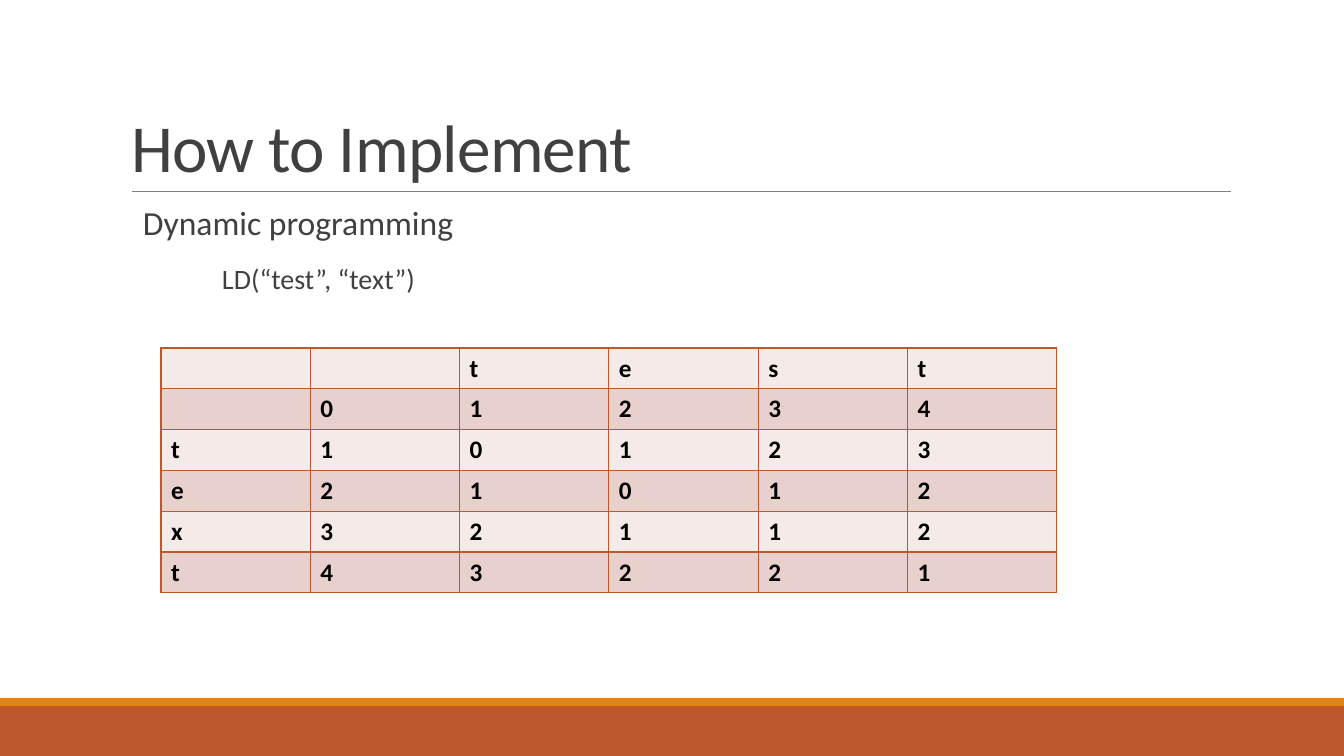
import lxml.etree
import pptx
import pptx.dml.color
import pptx.enum.shapes
import pptx.enum.text
import pptx.oxml.ns
import pptx.util

RGBColor = pptx.dml.color.RGBColor
RUST = RGBColor(0xBD, 0x58, 0x2C)
ORANGE = RGBColor(0xE4, 0x83, 0x12)
GREY = RGBColor(0x80, 0x80, 0x80)
DARK = RGBColor(0x40, 0x40, 0x40)
BLACK = RGBColor(0, 0, 0)
BANDS = (RGBColor(0xF4, 0xEA, 0xE8), RGBColor(0xE8, 0xD1, 0xCD))
qn = pptx.oxml.ns.qn


def px(*lengths):
    """Turn lengths in px (100.8 to the inch) into EMU."""
    return [pptx.util.Emu(round(length * 914400 / 100.8)) for length in lengths]


def write(para, text, size, color, bold=False):
    span = para.add_run()
    span.text = text
    values = {"name": "Calibri", "size": pptx.util.Pt(size), "bold": bold}
    for name, value in values.items():
        setattr(span.font, name, value)
    span.font.color.rgb = color
    return span


deck = pptx.Presentation()
deck.slide_width, deck.slide_height = px(1344, 756)
page = deck.slides.add_slide(deck.slide_layouts.get_by_name("Title Only"))

# Footer bars and title rule
for top, height, color in ((706, 50, RUST), (698, 8, ORANGE)):
    bar = page.shapes.add_shape(
        pptx.enum.shapes.MSO_SHAPE.RECTANGLE, *px(0, top, 1344, height))
    bar.shadow.inherit = False
    bar.fill.solid()
    bar.fill.fore_color.rgb = color
    bar.line.fill.background()

rule = page.shapes.add_connector(
    pptx.enum.shapes.MSO_CONNECTOR.STRAIGHT, *px(132, 191, 1231, 191))
rule.line.color.rgb = GREY
rule.line.width = pptx.util.Pt(0.5)
lxml.etree.SubElement(rule._element.spPr, qn("a:effectLst"))

# Title
title = page.shapes.title
title.left, title.top, title.width, title.height = px(121, 31, 1109, 160)
frame_format = {
    "vertical_anchor": pptx.enum.text.MSO_ANCHOR.BOTTOM,
    "auto_size": pptx.enum.text.MSO_AUTO_SIZE.NONE,
    "word_wrap": True,
}
for name, value in frame_format.items():
    setattr(title.text_frame, name, value)
para = title.text_frame.paragraphs[0]
para.alignment = pptx.enum.text.PP_ALIGN.LEFT
para.line_spacing = 0.85
span = write(para, "How to Implement", 48, DARK)
span.font._element.set("spc", "-50")

# Body text
box = page.shapes.add_textbox(*px(121, 202, 1109, 446))
frame = box.text_frame
frame.word_wrap = True
frame.margin_left = frame.margin_right = 0
lines = (
    ("Dynamic programming", 24, 22, 2, 4),
    ("LD(“test”, “text”)", 20, 101, 12, 2),
)
for number, (text, size, indent, before, after) in enumerate(lines):
    para = frame.add_paragraph() if number else frame.paragraphs[0]
    spacing = {
        "line_spacing": 0.9,
        "space_before": pptx.util.Pt(before),
        "space_after": pptx.util.Pt(after),
    }
    for name, value in spacing.items():
        setattr(para, name, value)
    para._p.get_or_add_pPr().set("marL", str(px(indent)[0]))
    write(para, text, size, DARK)

# Edit distance table
distances = (
    ("", "", "t", "e", "s", "t"),
    ("", "0", "1", "2", "3", "4"),
    ("t", "1", "0", "1", "2", "3"),
    ("e", "2", "1", "0", "1", "2"),
    ("x", "3", "2", "1", "1", "2"),
    ("t", "4", "3", "2", "2", "1"),
)
table = page.shapes.add_table(6, 6, *px(161, 348, 896, 245)).table
table.first_row = table.horz_banding = False
for row, texts in enumerate(distances):
    for column, text in enumerate(texts):
        cell = table.cell(row, column)
        if text:
            write(cell.text_frame.paragraphs[0], text, 18, BLACK, bold=True)
        properties = cell._tc.get_or_add_tcPr()
        for side in ("a:lnL", "a:lnR", "a:lnT", "a:lnB"):
            border = lxml.etree.SubElement(properties, qn(side), w="12700")
            fill = lxml.etree.SubElement(border, qn("a:solidFill"))
            lxml.etree.SubElement(fill, qn("a:srgbClr"), val=str(RUST))
        cell.fill.solid()
        cell.fill.fore_color.rgb = BANDS[row % 2]

deck.save("out.pptx")
